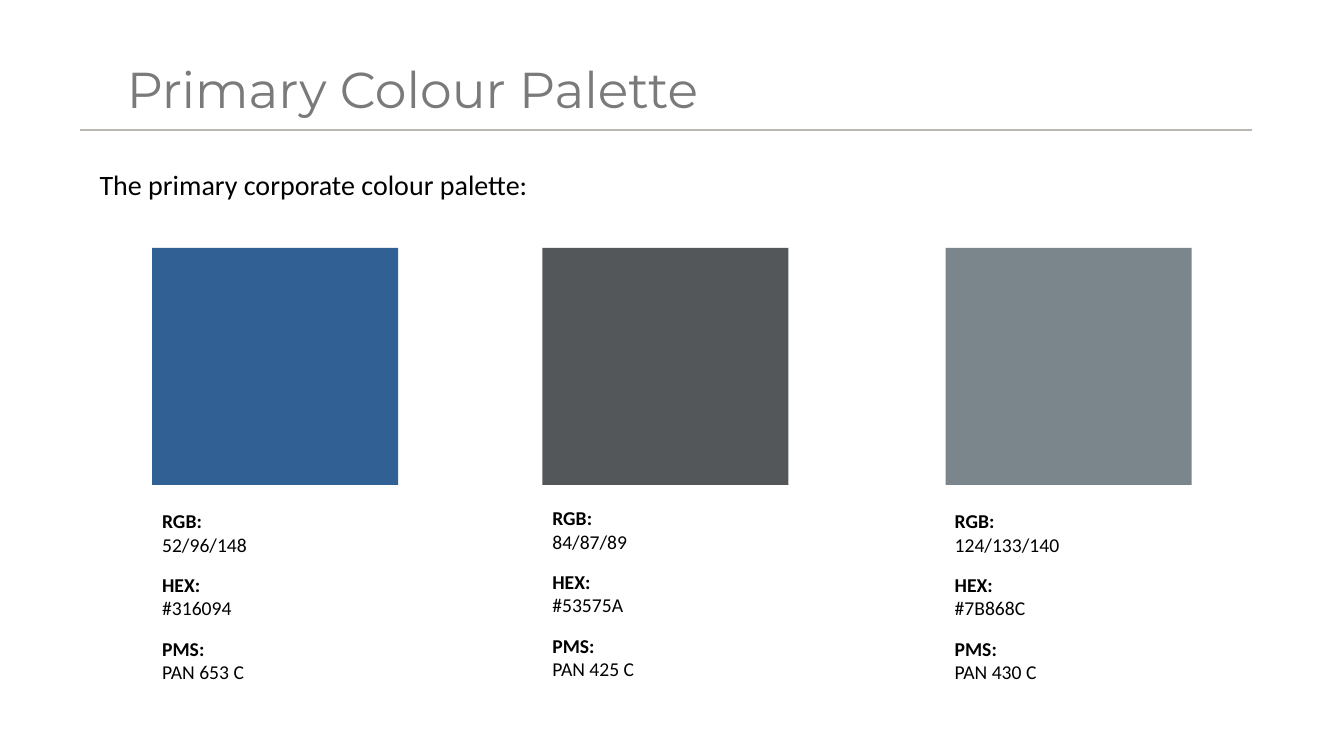
from lxml import etree
from pptx import Presentation
from pptx.dml.color import RGBColor
from pptx.enum.shapes import MSO_CONNECTOR, MSO_SHAPE
from pptx.enum.text import MSO_ANCHOR, MSO_AUTO_SIZE, PP_ALIGN
from pptx.oxml.ns import qn
from pptx.util import Inches, Pt

STRAIGHT = MSO_CONNECTOR.STRAIGHT
RECT = MSO_SHAPE.RECTANGLE
MIDDLE = MSO_ANCHOR.MIDDLE
GROW = MSO_AUTO_SIZE.SHAPE_TO_FIT_TEXT
CENTER = PP_ALIGN.CENTER

BLACK = "000000"
SWATCH_TOP, SWATCH_W, SWATCH_H = 2.46, 2.44, 2.35

# swatch left, label left, label top, RGB, HEX, PMS
SWATCHES = [
    (1.51, 1.51, 5.0, "52/96/148", "316094", "PAN 653 C"),
    (5.38, 5.38, 4.97, "84/87/89", "53575A", "PAN 425 C"),
    (9.38, 9.37, 5.0, "124/133/140", "7B868C", "PAN 430 C"),
]


def color(hex_text):
    return RGBColor.from_string(hex_text)


def add_rule(s, x1, x2, y):
    line = s.shapes.add_connector(STRAIGHT, Inches(x1), Inches(y), Inches(x2), Inches(y))
    line.line.color.rgb = color("BBB7B3")
    line.line.width = Pt(0.75)
    etree.SubElement(line._element.spPr, qn("a:effectLst"))


def add_text_frame(s, left, top, width, height):
    sp = s.shapes.add_textbox(Inches(left), Inches(top), Inches(width), Inches(height))
    tf = sp.text_frame
    tf.word_wrap = True
    return tf


def add_run(p, text, size, font="Calibri", hex_text=BLACK, bold=False):
    r = p.add_run()
    r.text = text
    r.font.size = Pt(size)
    r.font.name = font
    r.font.bold = bold
    r.font.color.rgb = color(hex_text)


def add_title(s, text):
    tf = add_text_frame(s, 1.16, 0.32, 7.62, 0.82)
    tf.vertical_anchor = MIDDLE
    p = tf.paragraphs[0]
    p.line_spacing = 1.5
    add_run(p, text, 36, "Montserrat", "7A7A7A")


def add_intro(s, text):
    tf = add_text_frame(s, 0.4, 1.6, 5.42, 0.45)
    tf.word_wrap = False
    tf.auto_size = GROW
    tf.vertical_anchor = MIDDLE
    tf.margin_left = tf.margin_right = tf.margin_top = tf.margin_bottom = Inches(0.06)
    p = tf.paragraphs[0]
    p.alignment = CENTER
    add_run(p, text, 20)


def add_swatch(s, left, hex_text):
    sp = s.shapes.add_shape(RECT, Inches(left), Inches(SWATCH_TOP),
                            Inches(SWATCH_W), Inches(SWATCH_H))
    sp.shadow.inherit = False
    sp.fill.solid()
    sp.fill.fore_color.rgb = color(hex_text)
    sp.line.fill.background()


def add_color_codes(s, left, top, codes):
    """Stack each code under its bold heading, one paragraph per pair."""
    tf = add_text_frame(s, left, top, 2.34, 1.85)
    tf.auto_size = GROW
    for i, (heading, value, space_after) in enumerate(codes):
        p = tf.add_paragraph() if i else tf.paragraphs[0]
        p.space_after = Pt(space_after)
        add_run(p, heading, 14, bold=True)
        p.add_line_break()
        add_run(p, value, 14)


def main():
    prs = Presentation()
    prs.slide_width, prs.slide_height = Inches(13.33), Inches(7.5)
    s = prs.slides.add_slide(prs.slide_layouts[6])

    add_rule(s, 0.79, 12.42, 1.29)
    add_title(s, "Primary Colour Palette")
    add_intro(s, "The primary corporate colour palette:")
    for left, label_left, label_top, rgb, hex_text, pms in SWATCHES:
        add_swatch(s, left, hex_text)
        add_color_codes(s, label_left, label_top, [
            ("RGB:", rgb, 12), ("HEX:", "#" + hex_text, 12), ("PMS:", pms, 6)])

    prs.save("out.pptx")


if __name__ == "__main__":
    main()
